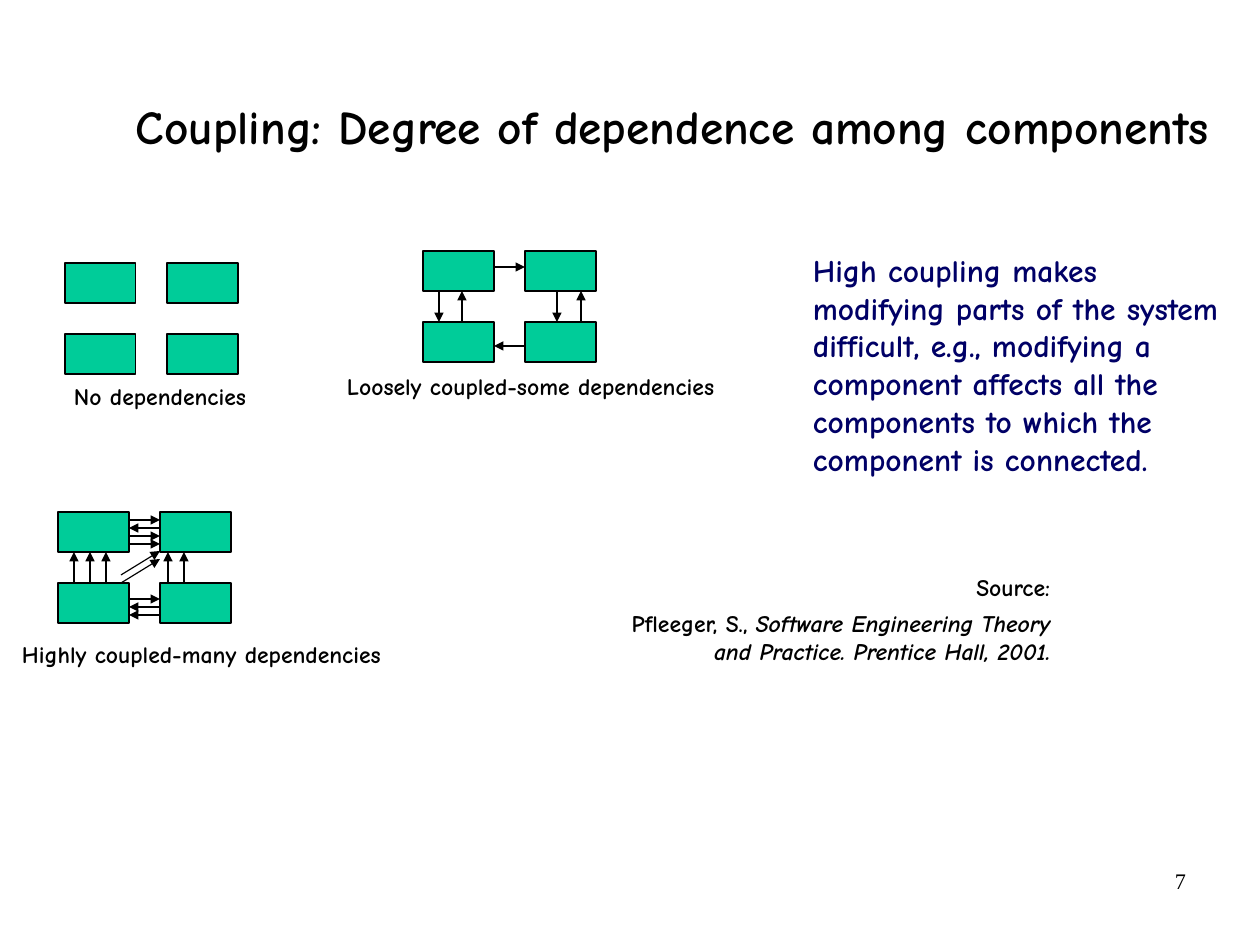
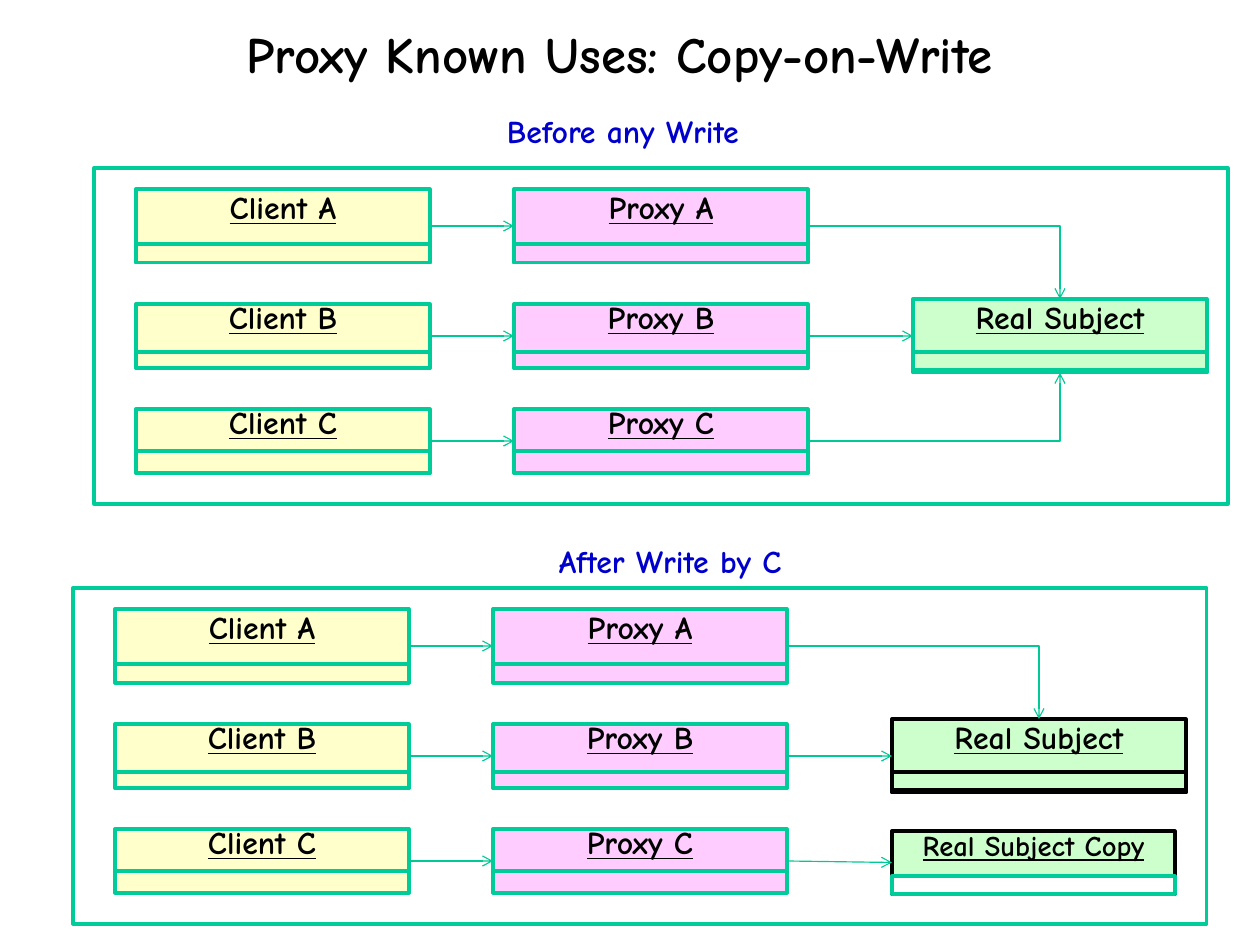
from dataclasses import dataclass

from lxml import etree
from pptx import Presentation
from pptx.dml.color import RGBColor
from pptx.enum.shapes import MSO_CONNECTOR as Connector, MSO_SHAPE as Preset
from pptx.enum.text import MSO_ANCHOR as Anchor, MSO_AUTO_SIZE as AutoSize, PP_ALIGN as Align
from pptx.oxml.ns import qn
from pptx.util import Pt

PX = 8000  # EMU in one px
TOP, LEFT, BOTTOM, RIGHT = range(4)  # connection sites of a rectangle


@dataclass(frozen=True)
class Theme:
    # Fonts and type sizes
    font: str = "Comic Neue"
    number_font: str = "Times New Roman"
    title: float = 32
    long_title: float = 29.8
    body: float = 19.8
    caption: float = 14.9
    label: float = 20
    small_label: float = 18
    number: float = 14
    # Colours
    ink: str = "000000"
    paper: str = "FFFFFF"
    navy: str = "000066"
    blue: str = "0000CC"
    green: str = "00CC99"
    arrow_green: str = "00C896"
    client: str = "FFFFCC"
    proxy: str = "FFCCFF"
    subject: str = "CCFFCC"
    # Line widths
    thin: float = 0.75
    thick: float = 2


THEME = Theme()


def px(*lengths):
    return [round(length * PX) for length in lengths]


def set_all(target, values):
    for name, value in values.items():
        setattr(target, name, value)


class Deck:
    def __init__(self, width, height):
        self.presentation = Presentation()
        size = px(width, height)
        set_all(self.presentation, {"slide_width": size[0], "slide_height": size[1]})
        self.slide = None

    def new_slide(self, title, box, size, align, insets):
        layout = self.presentation.slide_layouts[5]
        self.slide = self.presentation.slides.add_slide(layout)
        shape = self.slide.shapes.title
        set_all(shape, dict(zip(("left", "top", "width", "height"), px(*box))))
        self.set_text(shape, [[title]], size, align=align, anchor=Anchor.MIDDLE,
                      insets=insets, line_spacing=0.88)

    def set_text(self, shape, paragraphs, size, color=THEME.ink, align=Align.LEFT,
                 anchor=Anchor.TOP, insets=(11, 6, 11, 6), line_spacing=None, gap=0,
                 **font_values):
        """Each paragraph is a list of runs; every second run is italic."""
        frame = shape.text_frame
        left, top, right, bottom = px(*insets)
        set_all(frame, {
            "word_wrap": True, "auto_size": AutoSize.NONE, "vertical_anchor": anchor,
            "margin_left": left, "margin_top": top,
            "margin_right": right, "margin_bottom": bottom,
        })
        values = {"name": THEME.font, "size": Pt(size), "bold": True, **font_values}
        for index, runs in enumerate(paragraphs):
            paragraph = frame.add_paragraph() if index else frame.paragraphs[0]
            set_all(paragraph, {"alignment": align, "line_spacing": line_spacing,
                                "space_before": Pt(gap if index else 0)})
            for position, text in enumerate(runs):
                run = paragraph.add_run()
                run.text = text
                set_all(run.font, {**values, "italic": position % 2 == 1})
                run.font.color.rgb = RGBColor.from_string(color)

    def text(self, box, paragraphs, size, **options):
        shape = self.slide.shapes.add_textbox(*px(*box))
        self.set_text(shape, paragraphs, size, **options)

    def rectangle(self, box, fill, line=THEME.green, weight=THEME.thick):
        shape = self.slide.shapes.add_shape(Preset.RECTANGLE, *px(*box))
        shape.shadow.inherit = False
        shape.fill.solid()
        shape.fill.fore_color.rgb = RGBColor.from_string(fill)
        shape.line.color.rgb = RGBColor.from_string(line)
        shape.line.width = Pt(weight)
        return shape

    def arrow(self, start=(0, 0), end=(0, 0), color=THEME.ink, head="triangle",
              kind=Connector.STRAIGHT):
        connector = self.slide.shapes.add_connector(kind, *px(*start, *end))
        connector.line.color.rgb = RGBColor.from_string(color)
        connector.line.width = Pt(THEME.thin)
        properties = connector._element.spPr
        etree.SubElement(properties.find(qn("a:ln")), qn("a:tailEnd"), type=head)
        etree.SubElement(properties, qn("a:effectLst"))
        return connector

    def link(self, source, target, side=LEFT):
        """Arrow from the right of one box; bent unless it enters at the left."""
        bent = side != LEFT
        connector = self.arrow(color=THEME.arrow_green, head="arrow",
                               kind=Connector.ELBOW if bent else Connector.STRAIGHT)
        connector.begin_connect(source, RIGHT)
        connector.end_connect(target, side)
        if bent:
            connector._element.spPr.find(qn("a:prstGeom")).set("prst", "bentConnector2")

    def object_box(self, name, box, split, foot, fill, line=THEME.green,
                   foot_fill=None, foot_line=None, size=THEME.label):
        """Box with an underlined name above a foot compartment."""
        left, top, width, _ = box
        shape = self.rectangle(box, fill, line)
        self.set_text(shape, [[name]], size, align=Align.CENTER, anchor=Anchor.MIDDLE,
                      insets=(13, 0, 13, round(size * 1.92)), underline=True)
        self.rectangle((left, top + split, width, foot), foot_fill or fill,
                       foot_line or line)
        return shape

    def coupling_group(self, left, top, caption, caption_box, right=(), back=(),
                       down=(), up=(), diagonal=()):
        """Two by two boxes; arrow places count from the group's corner."""
        width, height, step_x, step_y = 71, 40, 102, 71
        for column in range(2):
            for row in range(2):
                self.rectangle((left + column * step_x, top + row * step_y, width, height),
                               THEME.green, THEME.ink, THEME.thin)
        arrows = [((width, y), (step_x, y)) for y in right]
        arrows += [((step_x, y), (width, y)) for y in back]
        arrows += [((x, height), (x, step_y)) for x in down]
        arrows += [((x, step_y), (x, height)) for x in up]
        arrows += [((63, y), (step_x, y - 24)) for y in diagonal]
        for start, end in arrows:
            self.arrow((left + start[0], top + start[1]), (left + end[0], top + end[1]))
        self.text(caption_box, [[caption]], THEME.caption)

    def proxy_panel(self, left, top, label, label_box, subject_line):
        """Clients and proxies in rows; returns the proxies and the subject."""
        self.text(label_box, [[label]], THEME.label, color=THEME.blue,
                  insets=(13, 7, 13, 7))
        self.rectangle((left, top, 1134, 336), THEME.paper)
        proxies = []
        # Name, top, height, start and height of the foot
        rows = [("A", 21, 74, 55, 19), ("B", 136, 64, 48, 16), ("C", 241, 64, 42, 22)]
        for letter, row_top, height, split, foot in rows:
            client, proxy = [
                self.object_box(f"{role} {letter}", (left + x, top + row_top, 294, height),
                                split, foot, fill)
                for role, x, fill in (("Client", 42, THEME.client),
                                      ("Proxy", 420, THEME.proxy))
            ]
            self.link(client, proxy)
            proxies.append(proxy)
        subject = self.object_box("Real Subject", (left + 819, top + 131, 294, 74),
                                  53, 18, THEME.subject, subject_line)
        self.link(proxies[0], subject, TOP)
        self.link(proxies[1], subject)
        return proxies, subject


def coupling_slide(deck):
    deck.new_slide("Coupling: Degree of dependence among components",
                   (136, 70, 1124, 118), THEME.long_title, Align.LEFT, (0, 0, 0, 0))

    # Three degrees of coupling
    deck.coupling_group(65, 263, "No dependencies", (63, 376, 216, 40))
    deck.coupling_group(423, 251, "Loosely coupled-some dependencies",
                        (336, 366, 432, 40), right=[16], back=[95],
                        down=[16, 134], up=[39, 158])
    deck.coupling_group(58, 512, "Highly coupled-many dependencies",
                        (11, 634, 420, 40), right=[8, 24, 32, 87], back=[16, 95, 103],
                        up=[16, 32, 48, 110, 126], diagonal=[63, 71])

    # Remark, source and page number
    deck.text((802, 245, 441, 279), [[
        "High coupling makes modifying parts of the system difficult, e.g., modifying "
        "a component affects all the components to which the component is connected."
    ]], THEME.body, color=THEME.navy)
    deck.text((581, 567, 480, 182), [
        ["Source:"],
        ["Pfleeger, S., ", "Software Engineering Theory and Practice. Prentice Hall, 2001."],
    ], THEME.caption, align=Align.RIGHT, gap=4.5)
    deck.text((903, 861, 294, 65), [["7"]], THEME.number, align=Align.RIGHT,
              name=THEME.number_font, bold=False)


def proxy_slide(deck):
    deck.new_slide("Proxy Known Uses: Copy-on-Write", (53, 21, 1134, 73),
                   THEME.title, Align.CENTER, (13, 7, 13, 7))

    # All proxies share one subject
    proxies, subject = deck.proxy_panel(94, 168, "Before any Write",
                                        (494, 105, 297, 50), THEME.green)
    deck.link(proxies[2], subject, BOTTOM)

    # The third proxy has its own subject
    proxies, subject = deck.proxy_panel(73, 588, "After Write by C",
                                        (546, 535, 298, 50), THEME.ink)
    own_subject = deck.object_box("Real Subject Copy", (892, 831, 283, 63), 45, 18,
                                  THEME.subject, THEME.ink, THEME.paper, THEME.green,
                                  THEME.small_label)
    deck.link(proxies[2], own_subject)


def main():
    deck = Deck(1260, 945)
    coupling_slide(deck)
    proxy_slide(deck)
    deck.presentation.save("out.pptx")


if __name__ == "__main__":
    main()
